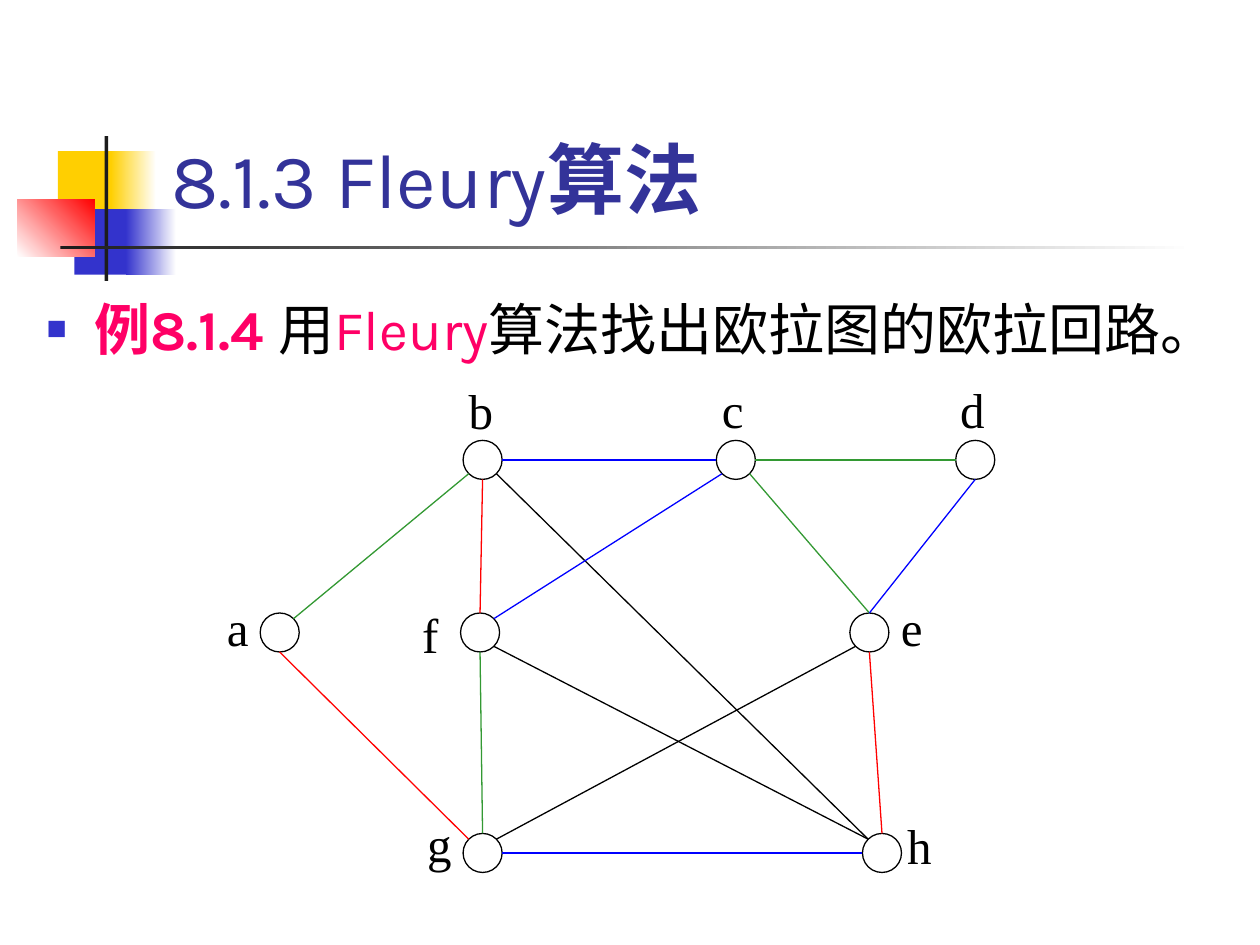
from dataclasses import dataclass
from math import sqrt

from lxml import etree
from pptx import Presentation
from pptx.dml.color import RGBColor
from pptx.enum import shapes, text
from pptx.oxml import ns
from pptx.util import Inches, Pt


@dataclass(frozen=True)
class Theme:
    white: str = "FFFFFF"
    black: str = "000000"
    ink: str = "1C1C1C"
    yellow: str = "FFCF01"
    indigo: str = "3333CC"
    red: str = "FF0000"
    green: str = "339933"
    blue: str = "0000FF"
    title: str = "333399"
    accent: str = "FF0066"
    font: str = "Karla"
    label_font: str = "Times New Roman"
    title_size: int = 44
    body_size: int = 32
    label_size: int = 28
    line_width: float = 0.75


@dataclass(frozen=True)
class Bar:
    """A decorative rectangle; angle runs counter-clockwise from color to end."""
    left: float
    top: float
    width: float
    height: float
    color: str
    end: str | None = None
    angle: int = 0


@dataclass(frozen=True)
class Node:
    """A vertex by its centre, with the corner of its label box."""
    x: float
    y: float
    label_left: float
    label_top: float


@dataclass(frozen=True)
class Edge:
    start: str
    start_side: str
    finish: str
    finish_side: str
    color: str


@dataclass(frozen=True)
class Span:
    words: str
    color: str
    bold: bool = False


THEME = Theme()
RADIUS = 0.155
LABEL_SIZE = 1.02
DIAGONAL = 1 / sqrt(2)
SIDES = {
    "N": (0, -1), "S": (0, 1), "W": (-1, 0), "E": (1, 0),
    "NW": (-DIAGONAL, -DIAGONAL), "NE": (DIAGONAL, -DIAGONAL),
    "SW": (-DIAGONAL, DIAGONAL), "SE": (DIAGONAL, DIAGONAL),
}
BARS = [
    Bar(0.46, 1.2, 0.48, 0.52, THEME.yellow),
    Bar(0.88, 1.2, 0.36, 0.52, THEME.yellow, THEME.white),
    Bar(0.59, 1.66, 0.46, 0.52, THEME.indigo),
    Bar(1, 1.66, 0.4, 0.52, THEME.indigo, THEME.white),
    Bar(0.14, 1.58, 0.61, 0.46, THEME.white, THEME.red, 45),
    Bar(0.83, 1.08, 0.03, 1.15, THEME.ink),
    Bar(0.48, 1.95, 9, 0.03, THEME.ink, THEME.white),
]
TOP, MIDDLE, BOTTOM = 3.65, 5.02, 6.77
NODES = {
    "g": Node(3.83, BOTTOM, 3.28, 6.4),
    "h": Node(7, BOTTOM, 7.09, 6.41),
    "e": Node(6.9, MIDDLE, 7.04, 4.68),
    "a": Node(2.22, MIDDLE, 1.69, 4.68),
    "f": Node(3.81, MIDDLE, 3.24, 4.74),
    "d": Node(7.74, TOP, 7.51, 2.95),
    "c": Node(5.84, TOP, 5.62, 2.95),
    "b": Node(3.83, TOP, 3.61, 2.96),
}
EDGES = [
    Edge("b", "E", "c", "W", THEME.blue),
    Edge("c", "E", "d", "W", THEME.green),
    Edge("b", "SW", "a", "NE", THEME.green),
    Edge("a", "S", "g", "NW", THEME.red),
    Edge("b", "S", "f", "N", THEME.red),
    Edge("f", "S", "g", "N", THEME.green),
    Edge("g", "E", "h", "W", THEME.blue),
    Edge("f", "SE", "h", "NW", THEME.black),
    Edge("b", "SE", "h", "NW", THEME.black),
    Edge("c", "SW", "f", "NE", THEME.blue),
    Edge("g", "NE", "e", "SW", THEME.black),
    Edge("c", "SE", "e", "N", THEME.green),
    Edge("d", "S", "e", "N", THEME.blue),
    Edge("e", "S", "h", "N", THEME.red),
]
TITLE = [Span("8.1.3 Fleury", THEME.title), Span("算法", THEME.title, True)]
BODY = [
    Span("例8.1.4 ", THEME.accent, True),
    Span("用", THEME.black),
    Span("Fleury", THEME.accent),
    Span("算法找出欧拉图的欧拉回路。", THEME.black),
]


def apply(target, values: dict) -> None:
    for name, value in values.items():
        setattr(target, name, value)


def add_span(para, span: Span, font: str, size: int) -> None:
    run = para.add_run()
    run.text = span.words
    apply(run.font, {"name": font, "size": Pt(size), "bold": span.bold})
    run.font.color.rgb = RGBColor.from_string(span.color)


def fill_placeholder(box, place: tuple, anchor, spans: list[Span], size: int):
    names = ("left", "top", "width", "height")
    apply(box, dict(zip(names, map(Inches, place))))
    apply(box.text_frame, {"auto_size": text.MSO_AUTO_SIZE.NONE,
                           "word_wrap": True, "vertical_anchor": anchor})
    para = box.text_frame.paragraphs[0]
    para.alignment = text.PP_ALIGN.LEFT
    for span in spans:
        add_span(para, span, THEME.font, size)
    return para


def set_bullet(para) -> None:
    apply(para, {"line_spacing": 1.5, "space_before": Pt(8)})
    props = para._p.get_or_add_pPr()
    props.set("marL", str(Inches(0.38)))
    props.set("indent", str(Inches(-0.38)))
    color = etree.SubElement(props, ns.qn("a:buClr"))
    etree.SubElement(color, ns.qn("a:srgbClr"), val=THEME.indigo)
    etree.SubElement(props, ns.qn("a:buSzPct"), val="60000")
    etree.SubElement(props, ns.qn("a:buChar"), char="■")


def add_flat_shape(page, kind, place: tuple, color: str, line: str | None = None):
    shape = page.shapes.add_shape(kind, *map(Inches, place))
    shape.shadow.inherit = False
    shape.fill.solid()
    shape.fill.fore_color.rgb = RGBColor.from_string(color)
    if line:
        shape.line.color.rgb = RGBColor.from_string(line)
        shape.line.width = Pt(THEME.line_width)
    else:
        shape.line.fill.background()
    return shape


def add_bar(page, bar: Bar) -> None:
    place = (bar.left, bar.top, bar.width, bar.height)
    shape = add_flat_shape(page, shapes.MSO_SHAPE.RECTANGLE, place, bar.color)
    if bar.end:
        shape.fill.gradient()
        shape.fill.gradient_angle = bar.angle
        for stop, color in zip(shape.fill.gradient_stops, (bar.color, bar.end)):
            stop.color.rgb = RGBColor.from_string(color)


def add_label(page, name: str, node: Node) -> None:
    place = (node.label_left, node.label_top, LABEL_SIZE, LABEL_SIZE)
    box = add_flat_shape(page, shapes.MSO_SHAPE.RECTANGLE, place, THEME.white, THEME.white)
    side, edge = Inches(0.11), Inches(0.06)
    apply(box.text_frame, {"margin_left": side, "margin_right": side,
                           "margin_top": edge, "margin_bottom": edge,
                           "word_wrap": True, "vertical_anchor": text.MSO_ANCHOR.TOP})
    para = box.text_frame.paragraphs[0]
    para.alignment = text.PP_ALIGN.LEFT
    add_span(para, Span(name, THEME.black), THEME.label_font, THEME.label_size)


def add_node(page, node: Node) -> None:
    place = (node.x - RADIUS, node.y - RADIUS, 2 * RADIUS, 2 * RADIUS)
    add_flat_shape(page, shapes.MSO_SHAPE.OVAL, place, THEME.white, THEME.black)


def rim_point(name: str, side: str) -> tuple:
    node, (across, down) = NODES[name], SIDES[side]
    return Inches(node.x + RADIUS * across), Inches(node.y + RADIUS * down)


def add_edge(page, edge: Edge) -> None:
    line = page.shapes.add_connector(
        shapes.MSO_CONNECTOR.STRAIGHT,
        *rim_point(edge.start, edge.start_side), *rim_point(edge.finish, edge.finish_side))
    line.line.color.rgb = RGBColor.from_string(edge.color)
    line.line.width = Pt(THEME.line_width)
    etree.SubElement(line._element.spPr, ns.qn("a:effectLst"))


def main() -> None:
    deck = Presentation()
    apply(deck, {"slide_width": Inches(10), "slide_height": Inches(7.5)})
    page = deck.slides.add_slide(deck.slide_layouts[1])
    for bar in BARS:
        add_bar(page, bar)
    fill_placeholder(page.shapes.title, (1.26, 0.23, 8.52, 1.6),
                     text.MSO_ANCHOR.BOTTOM, TITLE, THEME.title_size)
    set_bullet(fill_placeholder(page.placeholders[1], (0.27, 2.02, 9.73, 5.48),
                                text.MSO_ANCHOR.TOP, BODY, THEME.body_size))
    for name, node in NODES.items():
        add_label(page, name, node)
    for node in NODES.values():
        add_node(page, node)
    for edge in EDGES:
        add_edge(page, edge)
    deck.save("out.pptx")


if __name__ == "__main__":
    main()
